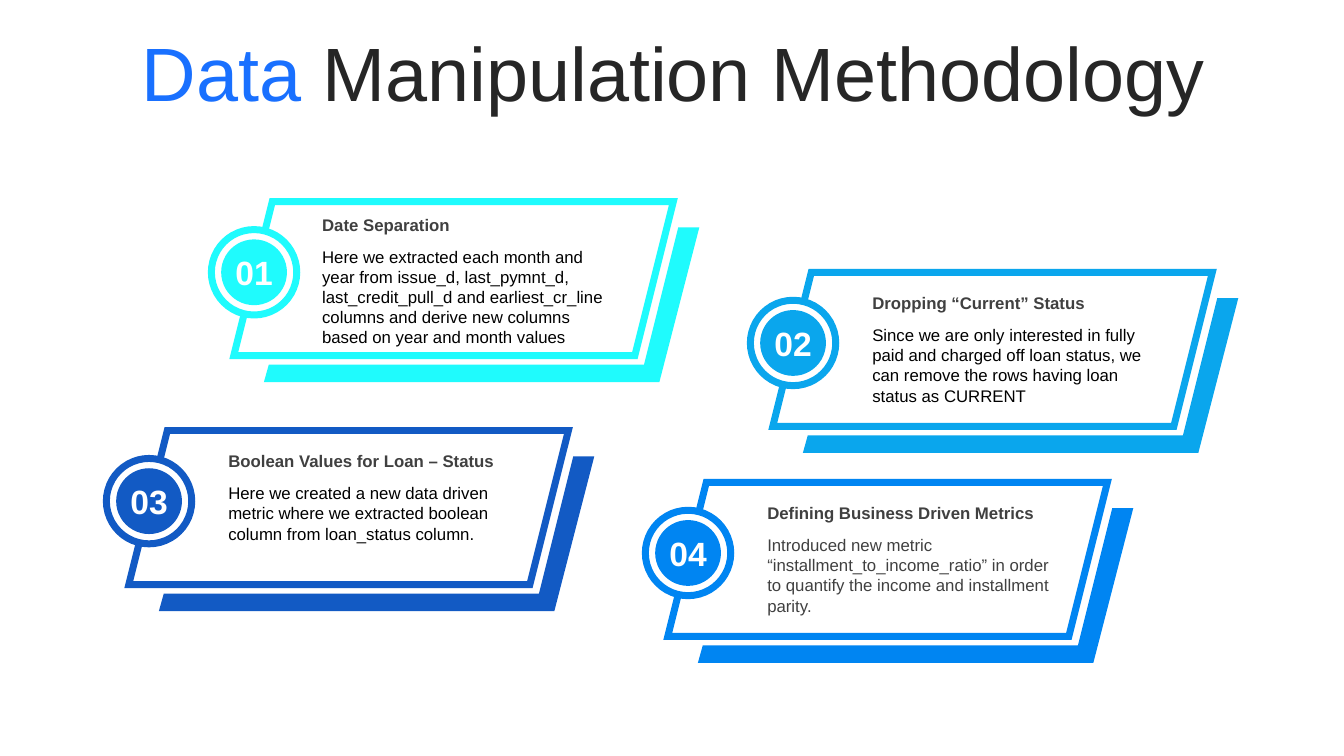
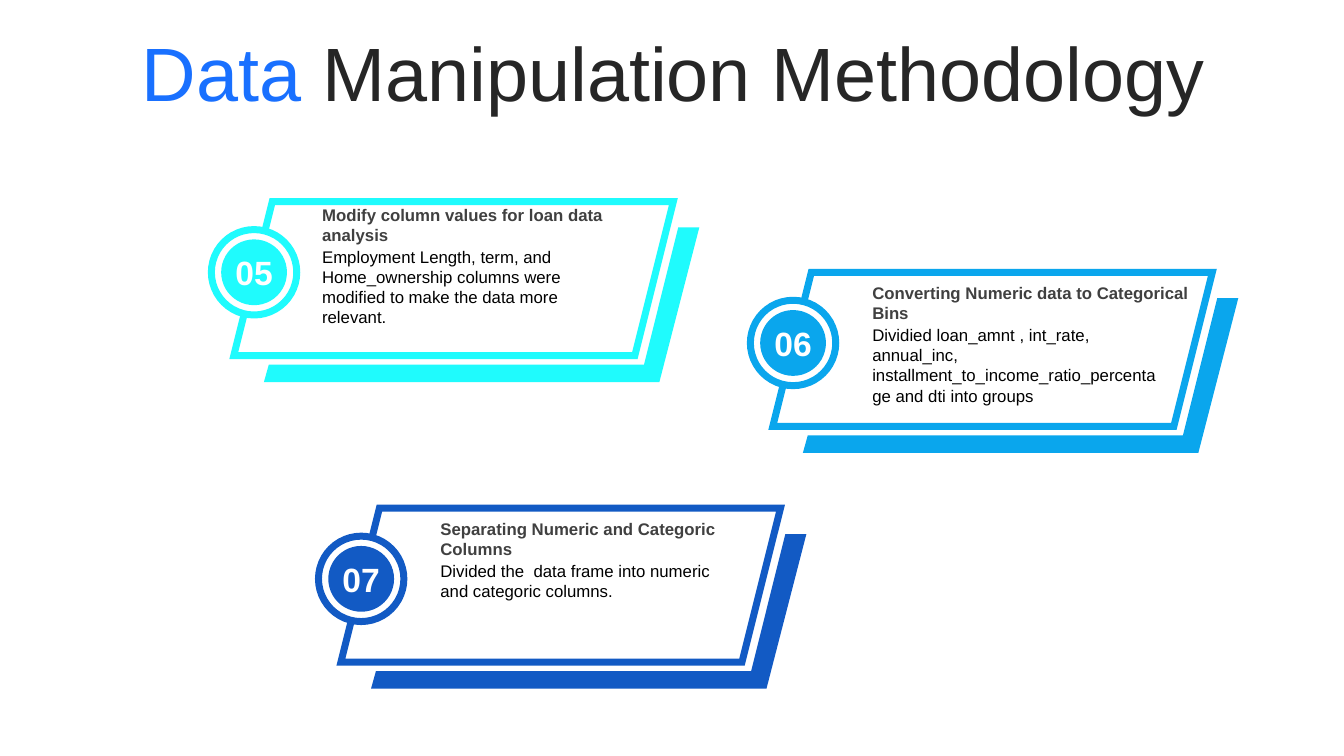
from lxml.etree import SubElement
from pptx import Presentation
from pptx.dml.color import RGBColor
from pptx.enum.shapes import MSO_SHAPE as Shape
from pptx.enum.text import MSO_ANCHOR as Anchor, MSO_AUTO_SIZE as AutoSize, PP_ALIGN as Align
from pptx.oxml.ns import qn
from pptx.util import Pt

FONT = "Arial"
WHITE, BLACK, GREY, DARK, ACCENT = "FFFFFF", "000000", "404040", "262626", "1970FF"
AQUA, SKY, NAVY, AZURE = "1FFBFD", "0AA6ED", "125AC4", "0085F2"
LINE_HEIGHT, TEXT_PADDING = 14.4, 7.2
RIBBON = [(317.5, 18.5), (332.5, 18.5), (304, 129), (21.5, 129), (25, 116.5), (293, 116.5)]

SLIDES = [
    [
        ("01", AQUA, 167, 144, 56, 16.5, "Date Separation", 1,
         "Here we extracted each month and year from issue_d, last_pymnt_d, last_credit_pull_d "
         "and earliest_cr_line columns and derive new columns based on year and month values", 5, BLACK),
        ("03", NAVY, 92, 307.5, 64, 22, "Boolean Values for Loan – Status", 1,
         "Here we created a new data driven metric where we extracted boolean column "
         "from loan_status column.", 3, BLACK),
        ("02", SKY, 552, 194.5, 64, 22, "Dropping “Current” Status", 1,
         "Since we are only interested in fully paid and charged off loan status, "
         "we can remove the rows having loan status as CURRENT", 4, BLACK),
        ("04", AZURE, 477, 344.5, 64, 22, "Defining Business Driven Metrics", 1,
         "Introduced new metric “installment_to_income_ratio” in order to quantify "
         "the income and installment parity.", 4, GREY),
    ],
    [
        ("05", AQUA, 167, 144, 56, 16.5, "Modify column values for loan data analysis", 2,
         "Employment Length, term, and Home_ownership columns were modified "
         "to make the data more relevant.", 4, BLACK),
        ("07", NAVY, 243.5, 363, 64, 22, "Separating Numeric and Categoric Columns", 2,
         "Divided the  data frame into numeric and categoric columns.", 2, BLACK),
        ("06", SKY, 552, 194.5, 64, 22, "Converting Numeric data to Categorical Bins", 2,
         "Dividied loan_amnt , int_rate, annual_inc, "
         "installment_to_income_ratio_percentage and dti into groups", 4, BLACK),
    ],
]


def color(value):
    return RGBColor.from_string(value)


def paint(shape, fill, line=None):
    shape.shadow.inherit = False
    shape.fill.solid()
    shape.fill.fore_color.rgb = color(fill)
    if line is None:
        shape.line.fill.background()
    else:
        shape.line.color.rgb = color(line)
        shape.line.width = Pt(5)
        SubElement(shape.line._get_or_add_ln(), qn("a:miter"), lim="800000")


presentation = Presentation()
presentation.slide_width, presentation.slide_height = Pt(960), Pt(540)

for cards in SLIDES:
    slide = presentation.slides.add_slide(presentation.slide_layouts[5])
    title = slide.shapes.title
    title.left, title.top, title.width, title.height = Pt(25), Pt(26.5), Pt(912), Pt(57)
    title.text_frame.auto_size = AutoSize.NONE
    title.text_frame.vertical_anchor = Anchor.MIDDLE
    paragraph = title.text_frame.paragraphs[0]
    paragraph.alignment = Align.CENTER
    paragraph.line_spacing = 0.9
    paragraph.font.name, paragraph.font.size = FONT, Pt(54)
    for words, shade in [("Data", ACCENT), (" Manipulation Methodology", DARK)]:
        run = paragraph.add_run()
        run.text = words
        run.font.color.rgb = color(shade)

    for (number, accent, left, top, text_offset, heading_middle,
         heading, heading_lines, body, body_lines, body_color) in cards:
        shapes = slide.shapes.add_group_shape().shapes

        panel = shapes.add_shape(Shape.PARALLELOGRAM, Pt(left), Pt(top), Pt(314), Pt(110))
        paint(panel, WHITE, accent)

        corners = [(Pt(left + x), Pt(top + y)) for x, y in RIBBON]
        builder = shapes.build_freeform(*corners[0])
        builder.add_line_segments(corners[1:])
        paint(builder.convert_to_shape(), accent)

        heading_height = TEXT_PADDING + LINE_HEIGHT * heading_lines
        body_height = TEXT_PADDING + LINE_HEIGHT * body_lines
        for words, offset, width, height, shade, bold, anchor in [
            (body, heading_middle + 12, 222, body_height, body_color, False, Anchor.TOP),
            (heading, heading_middle - heading_height / 2, 243.5, heading_height, GREY, True, Anchor.MIDDLE),
        ]:
            box = shapes.add_textbox(Pt(left + text_offset), Pt(top + offset), Pt(width), Pt(height))
            box.text_frame.word_wrap = True
            box.text_frame.vertical_anchor = anchor
            paragraph = box.text_frame.paragraphs[0]
            paragraph.text = words
            paragraph.font.name, paragraph.font.size, paragraph.font.bold = FONT, Pt(12), bold
            paragraph.font.color.rgb = color(shade)

        ring = shapes.add_shape(Shape.OVAL, Pt(left - 16), Pt(top + 20), Pt(61), Pt(61))
        paint(ring, WHITE, accent)
        disc = shapes.add_shape(Shape.OVAL, Pt(left - 9), Pt(top + 27), Pt(47), Pt(47))
        paint(disc, accent)
        frame = disc.text_frame
        frame.word_wrap = False
        frame.margin_left = frame.margin_right = frame.margin_top = frame.margin_bottom = 0
        frame.vertical_anchor = Anchor.MIDDLE
        paragraph = frame.paragraphs[0]
        paragraph.text = number
        paragraph.alignment = Align.CENTER
        paragraph.font.name, paragraph.font.size, paragraph.font.bold = FONT, Pt(24), True
        paragraph.font.color.rgb = color(WHITE)

presentation.save("out.pptx")
